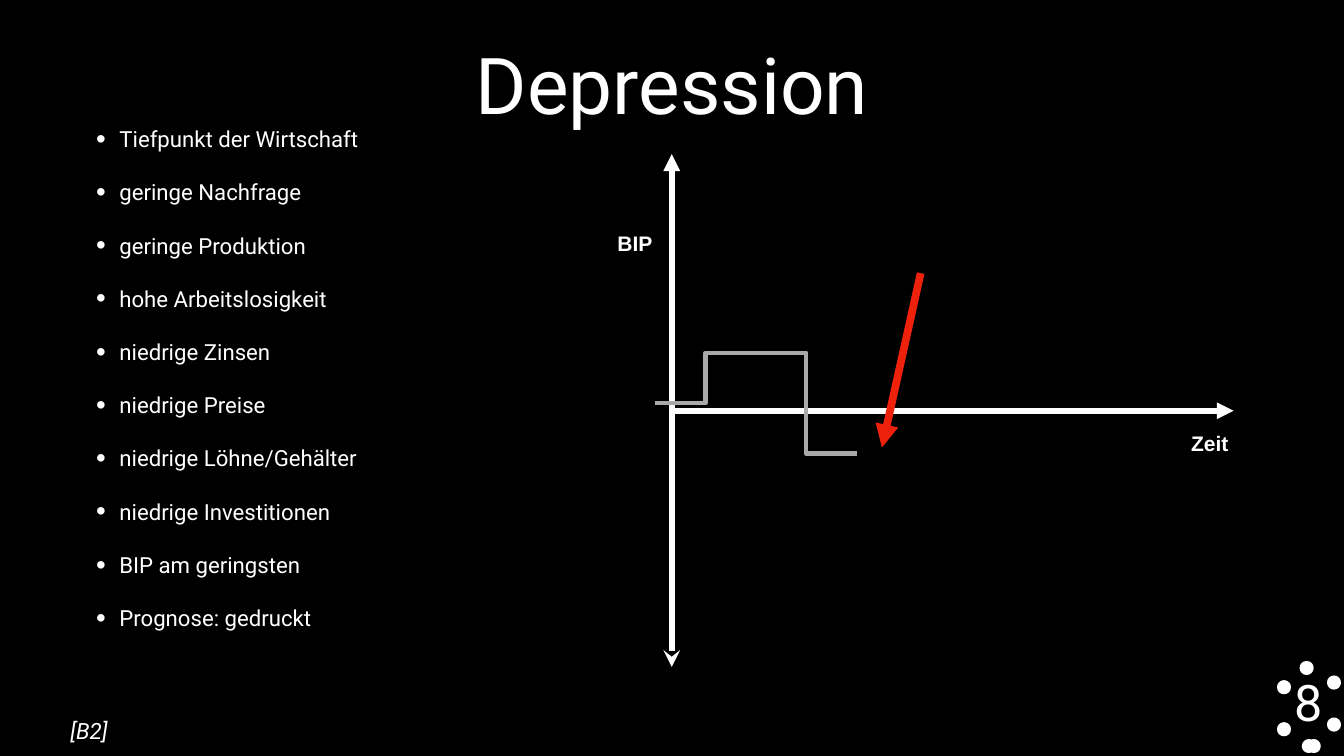
from lxml import etree
from pptx import Presentation
from pptx.dml.color import RGBColor
from pptx.enum.shapes import MSO_CONNECTOR, MSO_SHAPE
from pptx.enum.text import MSO_ANCHOR, MSO_AUTO_SIZE, PP_ALIGN
from pptx.oxml.ns import qn
from pptx.util import Inches, Pt

LEFT, CENTER = PP_ALIGN.LEFT, PP_ALIGN.CENTER
TOP, MIDDLE = MSO_ANCHOR.TOP, MSO_ANCHOR.MIDDLE
NO_FIT = MSO_AUTO_SIZE.NONE
STRAIGHT, RECTANGLE = MSO_CONNECTOR.STRAIGHT, MSO_SHAPE.RECTANGLE
TITLE_ONLY = 5

BLACK, WHITE, GRAY, RED = "000000", "FFFFFF", "A9A9A9", "EE220C"

FEATURES = [
    "Tiefpunkt der Wirtschaft",
    "geringe Nachfrage",
    "geringe Produktion",
    "hohe Arbeitslosigkeit",
    "niedrige Zinsen",
    "niedrige Preise",
    "niedrige Löhne/Gehälter",
    "niedrige Investitionen",
    "BIP am geringsten",
    "Prognose: gedruckt",
]

# Cubic segments of the business cycle, relative to the chart box:
# two control points and the end point of each.
CYCLE_START = (1.26, 5.08)
CYCLE_SEGMENTS = [
    ((1.17, 4.17), (2.10, 3.49), (2.95, 3.85)),
    ((3.32, 4.01), (3.56, 4.36), (3.66, 4.75)),
    ((3.69, 4.89), (3.71, 5.03), (3.74, 5.16)),
    ((3.83, 5.56), (4.04, 5.93), (4.39, 6.15)),
    ((4.60, 6.28), (4.86, 6.34), (5.11, 6.32)),
]


def color(hex_value):
    return RGBColor.from_string(hex_value)


def place(shape, box):
    shape.left, shape.top, shape.width, shape.height = map(Inches, box)


def write(shape, lines, size, font="Roboto", bold=False, italic=False,
          align=CENTER, anchor=MIDDLE, wrap=False, bullet_gap=None):
    """Fill a shape with paragraphs; bullet_gap is the space before each bullet."""
    frame = shape.text_frame
    frame.auto_size = NO_FIT
    frame.word_wrap = wrap
    frame.vertical_anchor = anchor
    frame.margin_left = frame.margin_right = Inches(0.06)
    frame.margin_top = frame.margin_bottom = Inches(0.06)
    for index, line in enumerate(lines):
        para = frame.add_paragraph() if index else frame.paragraphs[0]
        para.alignment = align
        span = para.add_run()
        span.text = line
        span.font.name = font
        span.font.size = Pt(size)
        span.font.bold = bold
        span.font.italic = italic
        span.font.color.rgb = color(WHITE)
        if bullet_gap is not None:
            para.space_before = Pt(bullet_gap)
            add_bullet(para, Inches(0.46))


def add_bullet(para, indent):
    properties = para._p.get_or_add_pPr()
    properties.set("marL", str(indent))
    properties.set("indent", str(-indent))
    etree.SubElement(properties, qn("a:buSzPct"), val="125000")
    etree.SubElement(properties, qn("a:buFont"), typeface="Arial")
    etree.SubElement(properties, qn("a:buChar"), char="•")


def add_text(page, box, lines, size, **style):
    write(page.shapes.add_textbox(*map(Inches, box)), lines, size, **style)


def style_line(shape, hex_value, width):
    shape.line.color.rgb = color(hex_value)
    shape.line.width = Pt(width)


def add_arrow(page, start, end, hex_value, width, head=None):
    """Draw a line with a triangle at its end and, if named, a head at its start."""
    arrow = page.shapes.add_connector(STRAIGHT, *map(Inches, start + end))
    style_line(arrow, hex_value, width)
    outline = arrow.line._get_or_add_ln()
    if head:
        etree.SubElement(outline, qn("a:headEnd"), type=head)
    etree.SubElement(outline, qn("a:tailEnd"), type="triangle")
    etree.SubElement(arrow._element.spPr, qn("a:effectLst"))


def cycle_points(steps=16):
    """Sample the cubic segments into evenly stepped points."""
    points = [CYCLE_START]
    for first, second, end in CYCLE_SEGMENTS:
        start = points[-1]
        for step in range(1, steps + 1):
            t = step / steps
            u = 1 - t
            points.append(tuple(
                u**3 * a + 3 * u * u * t * b + 3 * u * t * t * c + t**3 * d
                for a, b, c, d in zip(start, first, second, end)))
    return points


def draw_cycle_chart(page, box):
    left, top, width, height = box

    def at(x, y):
        return left + x, top + y

    axis_x, axis_y = 1.14, 5.09
    add_arrow(page, at(axis_x, height), at(axis_x, 0), WHITE, 8, head="stealth")
    add_text(page, at(0, 1.46) + (0.82, 0.61), ["BIP"], 30, font="Arial", bold=True)
    add_arrow(page, at(axis_x + 0.05, axis_y), at(width, axis_y), WHITE, 8)

    start, *rest = [at(*point) for point in cycle_points()]
    builder = page.shapes.build_freeform(*start, scale=Inches(1))
    builder.add_line_segments(rest, close=False)
    curve = builder.convert_to_shape()
    curve.shadow.inherit = False
    curve.fill.background()
    style_line(curve, GRAY, 6)

    add_text(page, at(width - 0.92, 5.42) + (0.89, 0.61), ["Zeit"], 30,
             font="Arial", bold=True)
    add_arrow(page, at(6.08, 2.36), at(5.31, 5.82), RED, 11)


def draw_page_number(page, box, number):
    """Write the number in a frame of round dots."""
    frame = page.shapes.add_shape(RECTANGLE, *map(Inches, box))
    frame.shadow.inherit = False
    frame.fill.background()
    style_line(frame, WHITE, 20)
    outline = frame.line._get_or_add_ln()
    outline.set("cap", "rnd")
    dashes = etree.SubElement(outline, qn("a:custDash"))
    etree.SubElement(dashes, qn("a:ds"), d="100000", sp="200000")
    etree.SubElement(outline, qn("a:miter"), lim="400000")
    write(frame, [number], 72, anchor=TOP)


def main():
    deck = Presentation()
    deck.slide_width, deck.slide_height = Inches(26.67), Inches(15)
    page = deck.slides.add_slide(deck.slide_layouts[TITLE_ONLY])
    page.background.fill.solid()
    page.background.fill.fore_color.rgb = color(BLACK)

    title = page.shapes.title
    place(title, (1.85, 0.39, 22.97, 2.5))
    write(title, ["Depression"], 112, wrap=True)
    add_text(page, (1.85, 2.42, 22.97, 10.17), FEATURES, 31.7,
             align=LEFT, wrap=True, bullet_gap=38)
    draw_page_number(page, (25.48, 13.25, 0.99, 1.56), "8")
    add_text(page, (1.18, 14.17, 1.17, 0.64), ["[B2]"], 32, italic=True)
    draw_cycle_chart(page, (12.19, 3.06, 12.29, 10.17))
    deck.save("out.pptx")


if __name__ == "__main__":
    main()
